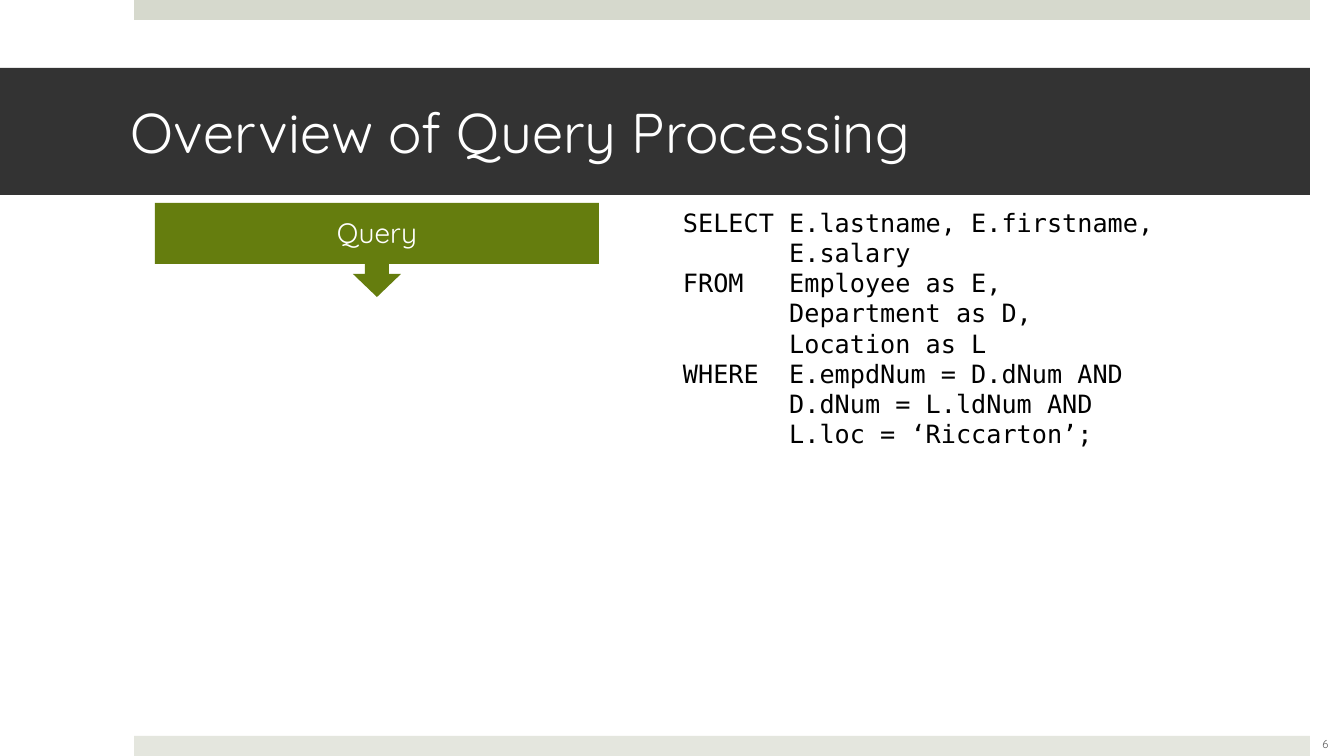
"""Build the query processing overview slide."""
from dataclasses import dataclass

from pptx import Presentation
from pptx.dml.color import RGBColor
from pptx.enum.shapes import MSO_SHAPE
from pptx.enum.text import MSO_ANCHOR, MSO_AUTO_SIZE, PP_ALIGN
from pptx.shapes.autoshape import Shape
from pptx.slide import Slide
from pptx.util import Emu, Pt

EMU_PER_PX = 914400 / 100.8
COLOURS = {
    "top_strip": "D6D9CD",
    "bottom_strip": "E4E6DE",
    "title_band": "333333",
    "callout": "657D0E",
    "white": "FFFFFF",
    "number": "595959",
    "code": "000000",
}
SANS = "Quicksand"
MONO = "DejaVu Sans Mono"
SQL_LINES = (
    "SELECT E.lastname, E.firstname,",
    "       E.salary",
    "FROM   Employee as E,",
    "       Department as D,",
    "       Location as L",
    "WHERE  E.empdNum = D.dNum AND",
    "       D.dNum = L.ldNum AND",
    "       L.loc = ‘Riccarton’;",
)


@dataclass(frozen=True)
class Frame:
    left: int
    top: int
    width: int
    height: int


@dataclass(frozen=True)
class Band:
    frame: Frame
    colour: str


@dataclass(frozen=True)
class Label:
    lines: tuple[str, ...]
    size: int
    colour: str
    font: str = SANS
    align: PP_ALIGN = PP_ALIGN.LEFT
    anchor: MSO_ANCHOR = MSO_ANCHOR.MIDDLE
    insets: tuple[int, int, int, int] = (10, 5, 10, 5)
    wrap: bool = True
    line_spacing: float = 1.0


STRIPS = (
    Band(Frame(134, 0, 1176, 20), "top_strip"),
    Band(Frame(134, 736, 1176, 20), "bottom_strip"),
)
TITLE_BAND = Band(Frame(0, 68, 1310, 127), "title_band")
TITLE = Label(("Overview of Query Processing",), 40, "white", insets=(131, 5, 30, 5))
QUERY = Label(("Query",), 20, "white", align=PP_ALIGN.CENTER,
              insets=(16, 16, 16, 48), line_spacing=0.9)
TEXT_BOXES = (
    (Frame(1292, 724, 67, 40), Label(("6",), 8, "number", align=PP_ALIGN.CENTER)),
    (Frame(673, 202, 507, 285),
     Label(SQL_LINES, 18, "code", MONO, anchor=MSO_ANCHOR.TOP, wrap=False)),
)


def px(length: int) -> Emu:
    return Emu(round(length * EMU_PER_PX))


def place(frame: Frame) -> tuple[Emu, Emu, Emu, Emu]:
    return px(frame.left), px(frame.top), px(frame.width), px(frame.height)


def paint(shape: Shape, colour: str) -> None:
    shape.shadow.inherit = False
    shape.fill.solid()
    shape.fill.fore_color.rgb = RGBColor.from_string(COLOURS[colour])
    shape.line.fill.background()


def write(shape: Shape, label: Label) -> None:
    text = shape.text_frame
    text.word_wrap = label.wrap
    text.auto_size = MSO_AUTO_SIZE.NONE if label.wrap else MSO_AUTO_SIZE.SHAPE_TO_FIT_TEXT
    text.vertical_anchor = label.anchor
    text.margin_left, text.margin_top, text.margin_right, text.margin_bottom = map(
        px, label.insets)
    para = text.paragraphs[0]
    para.alignment = label.align
    para.line_spacing = label.line_spacing
    for index, line in enumerate(label.lines):
        if index:
            para.add_line_break()
        span = para.add_run()
        span.text = line
        span.font.name = label.font
        span.font.size = Pt(label.size)
        span.font.color.rgb = RGBColor.from_string(COLOURS[label.colour])


def add_band(page: Slide, band: Band) -> Shape:
    shape = page.shapes.add_shape(MSO_SHAPE.RECTANGLE, *place(band.frame))
    paint(shape, band.colour)
    return shape


def add_query_callout(page: Slide) -> Shape:
    middle, top = 377, 203
    right_side = [(222, top), (222, 264), (12, 264), (12, 274), (24, 274), (0, 297)]
    left_side = [(-offset, level) for offset, level in reversed(right_side[:-1])]
    outline = [(middle + offset, level) for offset, level in right_side + left_side]
    builder = page.shapes.build_freeform(*outline[0], scale=EMU_PER_PX)
    builder.add_line_segments(outline[1:], close=True)
    callout = builder.convert_to_shape()
    paint(callout, "callout")
    return callout


def main() -> None:
    deck = Presentation()
    deck.slide_width, deck.slide_height = px(1344), px(756)
    page = deck.slides.add_slide(deck.slide_layouts[6])
    for strip in STRIPS:
        add_band(page, strip)
    write(add_band(page, TITLE_BAND), TITLE)
    write(add_query_callout(page), QUERY)
    for frame, label in TEXT_BOXES:
        write(page.shapes.add_textbox(*place(frame)), label)
    deck.save("out.pptx")


if __name__ == "__main__":
    main()
